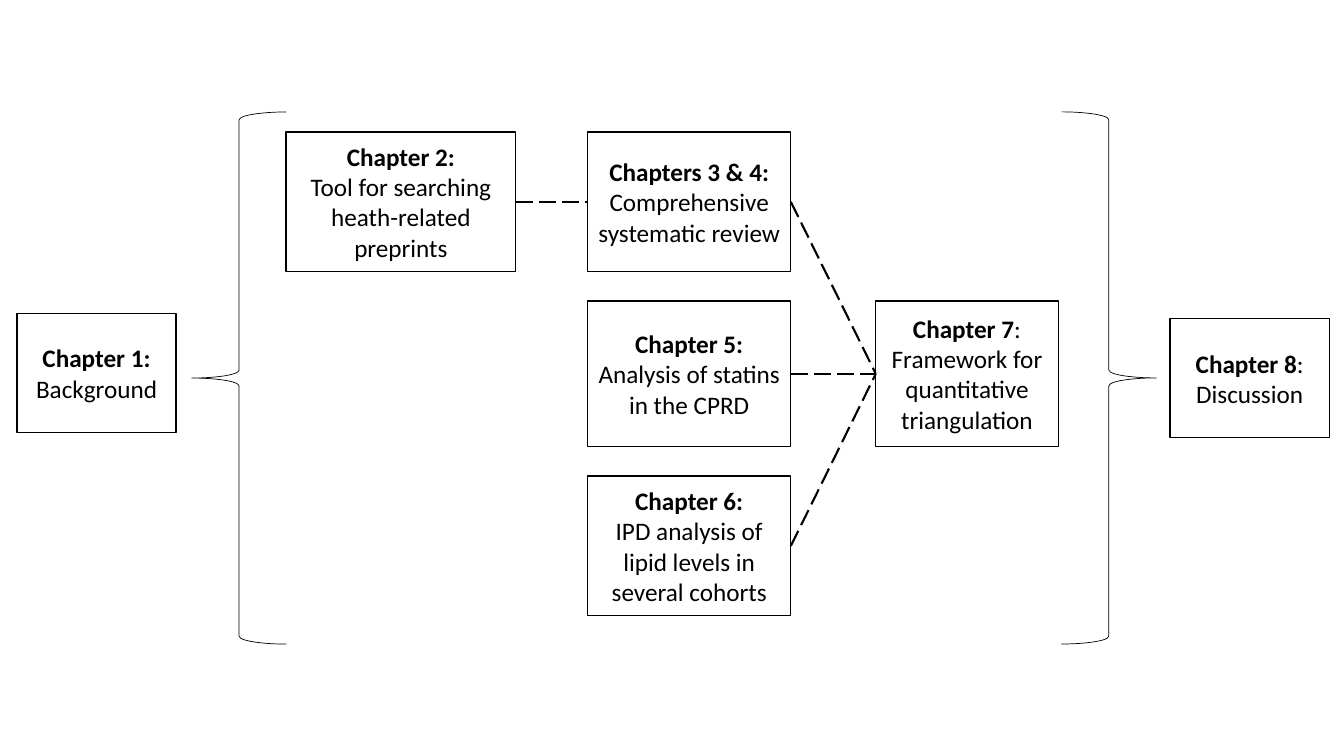
from pptx import Presentation
from pptx.dml.color import RGBColor
from pptx.enum.dml import MSO_LINE
from pptx.enum.shapes import MSO_CONNECTOR, MSO_SHAPE
from pptx.enum.text import MSO_ANCHOR, PP_ALIGN
from pptx.oxml.ns import qn
from pptx.util import Cm, Pt

BLACK = RGBColor(0, 0, 0)
WHITE = RGBColor(255, 255, 255)
RECT, BRACE = MSO_SHAPE.RECTANGLE, MSO_SHAPE.RIGHT_BRACE
STRAIGHT, DASH = MSO_CONNECTOR.STRAIGHT, MSO_LINE.LONG_DASH
MIDDLE, CENTER = MSO_ANCHOR.MIDDLE, PP_ALIGN.CENTER
LEFT, RIGHT = 1, 3  # connection sites of a rectangle

# Grid in centimetres
TOP, GAP = 3.33, 0.75
LOW, TALL = 3.51, 3.66
MID = TOP + LOW + GAP
END = MID + TALL + GAP
COL, WIDE = 14.81, 5.12
SIDE_W, SIDE_H = 4.01, 3.0


def set_line(shape, width):
    shape.line.color.rgb = BLACK
    shape.line.width = Pt(width)


def add_run(para, text, bold):
    run = para.add_run()
    run.text = text
    font = run.font
    font.name, font.size, font.bold = "Calibri", Pt(18), bold
    font.color.rgb = BLACK


def add_box(slide, area, head, body, bold_colon=True):
    box = slide.shapes.add_shape(RECT, *map(Cm, area))
    box.shadow.inherit = False
    box.fill.solid()
    box.fill.fore_color.rgb = WHITE
    set_line(box, 1)
    frame = box.text_frame
    frame.word_wrap = True
    frame.vertical_anchor = MIDDLE
    title, text = frame.paragraphs[0], frame.add_paragraph()
    title.alignment = text.alignment = CENTER
    add_run(title, head, True)
    add_run(title, ":", bold_colon)
    add_run(text, body, False)
    return box


def add_brace(slide, left, turn=0):
    brace = slide.shapes.add_shape(BRACE, Cm(left), Cm(2.82), Cm(2.39), Cm(13.41))
    brace.shadow.inherit = False
    brace.fill.background()
    set_line(brace, 0.5)
    brace.rotation = turn


def add_link(slide, start, end):
    link = slide.shapes.add_connector(STRAIGHT, 0, 0, 0, 0)
    link.begin_connect(start, RIGHT)
    link.end_connect(end, LEFT)
    set_line(link, 1.5)
    link.line.dash_style = DASH
    props = link._element.spPr
    props.append(props.makeelement(qn("a:effectLst"), {}))


def main():
    deck = Presentation()
    deck.slide_width, deck.slide_height = Cm(33.87), Cm(19.05)
    slide = deck.slides.add_slide(deck.slide_layouts[6])

    # Chapters
    add_box(slide, (0.43, 7.9, SIDE_W, SIDE_H), "Chapter 1", "Background")
    tool = add_box(slide, (7.21, TOP, 5.79, LOW), "Chapter 2",
                   "Tool for searching heath-related preprints")
    review = add_box(slide, (COL, TOP, WIDE, LOW), "Chapters 3 & 4",
                     "Comprehensive systematic review")
    statins = add_box(slide, (COL, MID, WIDE, TALL), "Chapter 5",
                      "Analysis of statins in the CPRD")
    lipids = add_box(slide, (COL, END, WIDE, LOW), "Chapter 6",
                     "IPD analysis of lipid levels in several cohorts")
    frame = add_box(slide, (22.07, MID, 4.6, TALL), "Chapter 7",
                    "Framework for quantitative triangulation", False)
    add_box(slide, (29.49, 8.03, SIDE_W, SIDE_H), "Chapter 8", "Discussion", False)

    # Braces around the main chapters
    add_brace(slide, 26.75)
    add_brace(slide, 4.83, 180)

    # Dashed links
    add_link(slide, tool, review)
    for study in (review, statins, lipids):
        add_link(slide, study, frame)

    deck.save("out.pptx")


main()
